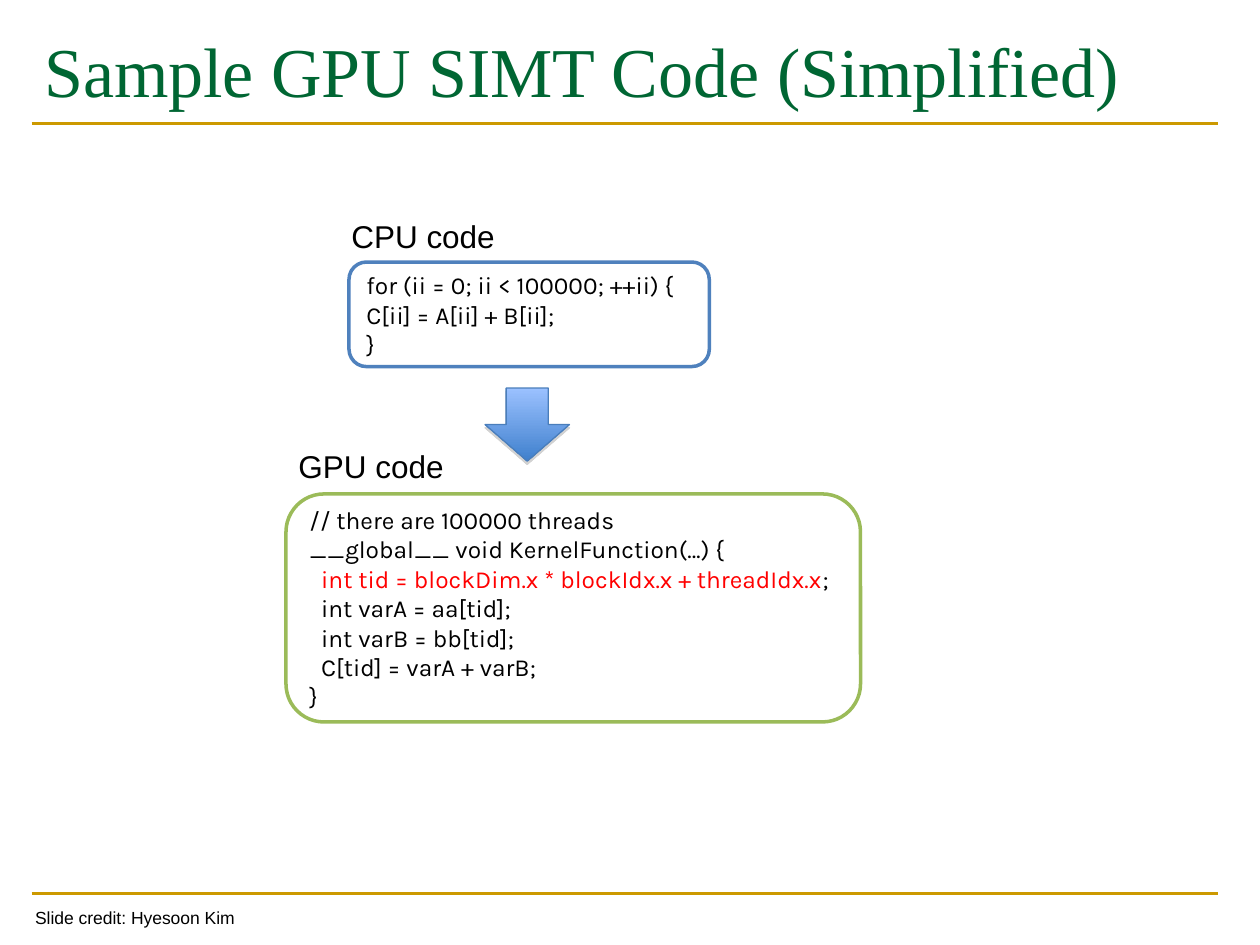
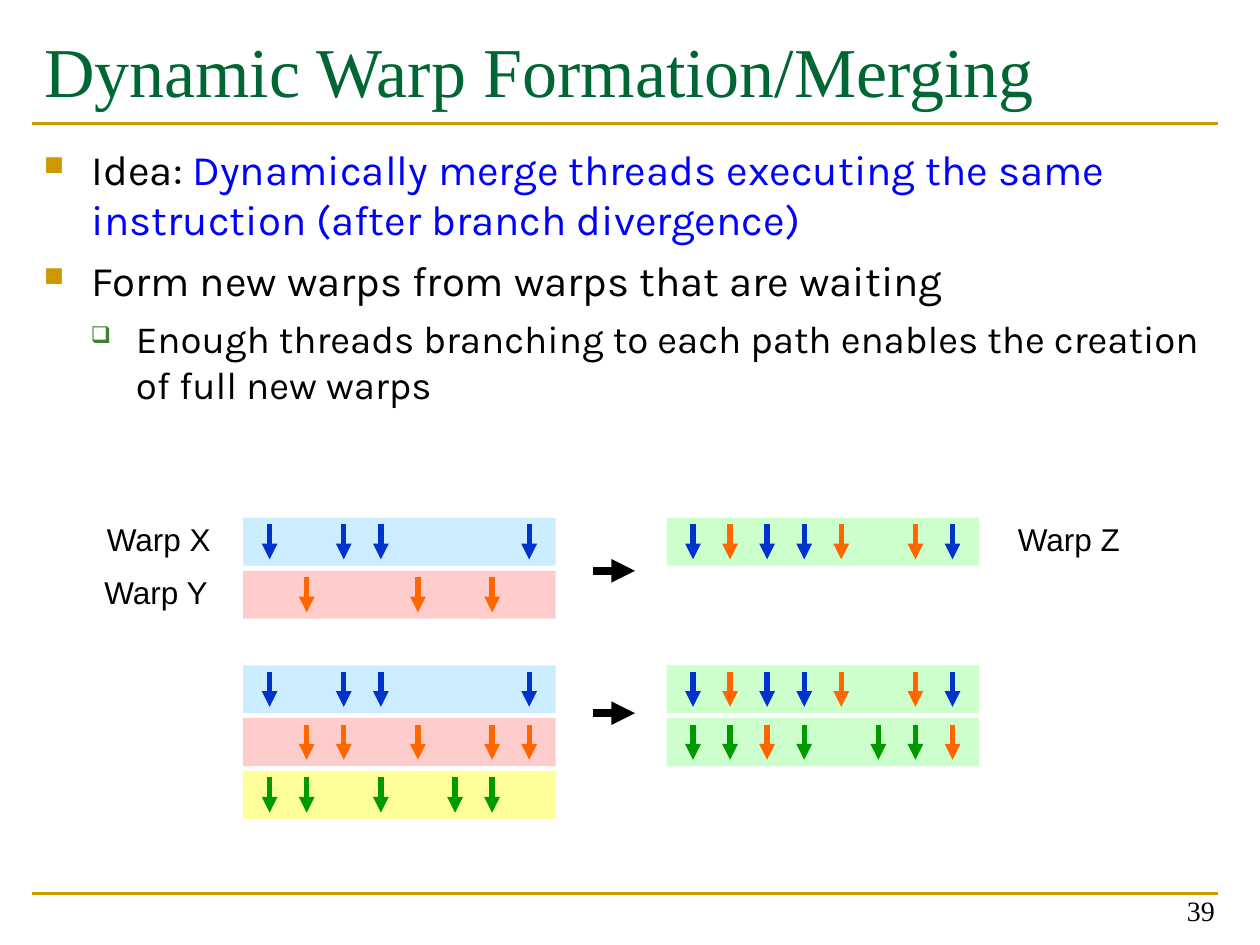
from lxml import etree
from pptx import Presentation
from pptx.dml.color import RGBColor
from pptx.enum.shapes import MSO_CONNECTOR, MSO_SHAPE
from pptx.enum.text import MSO_ANCHOR, MSO_AUTO_SIZE, PP_ALIGN
from pptx.oxml.ns import qn
from pptx.util import Inches, Pt

LEFT, RIGHT = PP_ALIGN.LEFT, PP_ALIGN.RIGHT
TOP, MIDDLE, BOTTOM = MSO_ANCHOR.TOP, MSO_ANCHOR.MIDDLE, MSO_ANCHOR.BOTTOM
STRAIGHT = MSO_CONNECTOR.STRAIGHT
RECTANGLE = MSO_SHAPE.RECTANGLE
ROUNDED = MSO_SHAPE.ROUNDED_RECTANGLE
DOWN_ARROW = MSO_SHAPE.DOWN_ARROW
NO_AUTOFIT = MSO_AUTO_SIZE.NONE

color = RGBColor.from_string
BLACK, WHITE, RED, BLUE = "000000", "FFFFFF", "FF0000", "0000FF"
GREEN, GOLD = "006633", "CC9900"
SERIF, SANS, BODY = "Times New Roman", "Arial", "Karla"


def add_line(page, start, end, hex_color, width, arrow=False):
    line = page.shapes.add_connector(
        STRAIGHT, *(Inches(value) for value in (*start, *end)))
    line.line.color.rgb = color(hex_color)
    line.line.width = Pt(width)
    properties = line._element.spPr
    if arrow:
        etree.SubElement(properties.find(qn("a:ln")), qn("a:tailEnd"), type="triangle")
    etree.SubElement(properties, qn("a:effectLst"))


def add_label(page, at, text, size, font=SANS, align=LEFT, anchor=TOP):
    box = page.shapes.add_textbox(*(Inches(value) for value in at))
    box.text_frame.word_wrap = False
    box.text_frame.vertical_anchor = anchor
    para = box.text_frame.paragraphs[0]
    para.text = text
    para.alignment = align
    para.font.name = font
    para.font.size = Pt(size)
    para.font.color.rgb = color(BLACK)


deck = Presentation()
deck.slide_width, deck.slide_height = Inches(10), Inches(7.5)

# Title and gold rules on both slides
pages = []
for heading in ("Sample GPU SIMT Code (Simplified)", "Dynamic Warp Formation/Merging"):
    page = deck.slides.add_slide(deck.slide_layouts[5])
    pages.append(page)
    for y in (7.09, 0.98):
        add_line(page, (0.25, y), (9.67, y), GOLD, 1.5)
    title = page.shapes.title
    title.left, title.top = Inches(0.25), Inches(0.17)
    title.width, title.height = Inches(9.42), Inches(1.17)
    frame = title.text_frame
    frame.auto_size = NO_AUTOFIT
    frame.vertical_anchor = TOP
    frame.margin_top = Inches(0.05)
    para = frame.paragraphs[0]
    para.text = heading
    para.alignment = LEFT
    para.font.name = SERIF
    para.font.size = Pt(40)
    para.font.color.rgb = color(GREEN)
code_page, warp_page = pages

# Code boxes: each line is a list of (text, colour) spans
cpu_code = [
    [("for (ii = 0; ii < 100000; ++ii) {", BLACK)],
    [("C[ii] = A[ii] + B[ii];", BLACK)],
    [("}", BLACK)],
]
gpu_code = [
    [("// there are 100000 threads", BLACK)],
    [("__global__ void KernelFunction(…) {", BLACK)],
    [("  ", BLACK), ("int tid = blockDim.x * blockIdx.x + threadIdx.x", RED), (";", BLACK)],
    [("  int varA = aa[tid];", BLACK)],
    [("  int varB = bb[tid];", BLACK)],
    [("  C[tid] = varA + varB;", BLACK)],
    [("}", BLACK)],
]
for at, outline, code in (
    ((2.77, 2.08, 2.86, 0.83), "4F81BD", cpu_code),
    ((2.27, 3.92, 4.56, 1.81), "9BBB59", gpu_code),
):
    box = code_page.shapes.add_shape(ROUNDED, *(Inches(value) for value in at))
    box.shadow.inherit = False
    box.fill.solid()
    box.fill.fore_color.rgb = color(WHITE)
    box.line.color.rgb = color(outline)
    box.line.width = Pt(2)
    frame = box.text_frame
    frame.word_wrap = True
    frame.vertical_anchor = MIDDLE
    for number, spans in enumerate(code):
        para = frame.add_paragraph() if number else frame.paragraphs[0]
        para.alignment = LEFT
        para.font.name = BODY
        para.font.size = Pt(14)
        for text, hex_color in spans:
            span = para.add_run()
            span.text = text
            span.font.color.rgb = color(hex_color)

# Arrow from CPU code to GPU code, with a soft shadow
arrow = code_page.shapes.add_shape(
    DOWN_ARROW, Inches(3.85), Inches(3.08), Inches(0.67), Inches(0.58))
arrow.fill.gradient()
arrow.fill.gradient_angle = 270
for stop, position, hex_color in zip(arrow.fill.gradient_stops, (0, 1), ("9BC1FF", "3F80CD")):
    stop.position = position
    stop.color.rgb = color(hex_color)
arrow.line.color.rgb = color("4A7EBB")
arrow.line.width = Pt(0.75)
arrow.shadow.inherit = False
effects = arrow._element.spPr.find(qn("a:effectLst"))
shadow = etree.SubElement(effects, qn("a:outerShdw"), dist=str(Pt(1.8)), dir="5400000", rotWithShape="0")
shade = etree.SubElement(shadow, qn("a:srgbClr"), val="808080")
etree.SubElement(shade, qn("a:alpha"), val="35000")

add_label(code_page, (2.69, 1.67, 1.34, 0.4), "CPU code", 18)
add_label(code_page, (2.27, 3.5, 1.52, 0.4), "GPU code", 18)
add_label(code_page, (0.18, 7.15, 1.85, 0.27), "Slide credit: Hyesoon Kim", 10)

# Bulleted text on warp merging
box = warp_page.shapes.add_textbox(Inches(0.25), Inches(1.09), Inches(9.42), Inches(5.68))
frame = box.text_frame
frame.word_wrap = True
frame.margin_top = Inches(0.05)
bullet_styles = [("■", GOLD, 65, 0.38, 0.38, 24, 6), ("❑", "3B812F", 60, 0.73, 0.36, 22, 5.5)]
points = [
    (0, [("Idea: ", BLACK),
         ("Dynamically merge threads executing the same instruction "
          "(after branch divergence)", BLUE)]),
    (0, [("Form new warps from warps that are waiting", BLACK)]),
    (1, [("Enough threads branching to each path enables the creation "
          "of full new warps", BLACK)]),
]
for number, (level, spans) in enumerate(points):
    symbol, bullet_color, percent, margin, hanging, size, gap = bullet_styles[level]
    para = frame.add_paragraph() if number else frame.paragraphs[0]
    para.level = level
    if number:
        para.space_before = Pt(gap)
    properties = para._p.get_or_add_pPr()
    properties.set("marL", str(Inches(margin)))
    properties.set("indent", str(-Inches(hanging)))
    tint = etree.SubElement(properties, qn("a:buClr"))
    etree.SubElement(tint, qn("a:srgbClr"), val=bullet_color)
    etree.SubElement(properties, qn("a:buSzPct"), val=str(percent * 1000))
    etree.SubElement(properties, qn("a:buChar"), char=symbol)
    para.font.name = BODY
    para.font.size = Pt(size)
    for text, hex_color in spans:
        span = para.add_run()
        span.text = text
        span.font.color.rgb = color(hex_color)

# Warps: one letter per lane gives the thread colour, a dot is an idle lane
THREADS = {"B": "0033CC", "O": "FF6600", "G": "009900"}
SKY, PINK, YELLOW, MINT = "CCECFF", "FFCCCC", "FFFF99", "CCFFCC"
BEFORE, AFTER = 1.93, 5.29
UPPER, LOWER, ROW_STEP = 4.11, 5.28, 0.42
LANE_STEP = 2.06 / 7
warps = [
    (BEFORE, UPPER, 0, SKY, "B.BB...B"),
    (BEFORE, UPPER, 1, PINK, ".O..O.O."),
    (AFTER, UPPER, 0, MINT, "BOBBO.OB"),
    (BEFORE, LOWER, 0, SKY, "B.BB...B"),
    (BEFORE, LOWER, 1, PINK, ".OO.O.OO"),
    (BEFORE, LOWER, 2, YELLOW, "GG.G.GG."),
    (AFTER, LOWER, 0, MINT, "BOBBO.OB"),
    (AFTER, LOWER, 1, MINT, "GGOG.GGO"),
]
for left, group_top, row, band_color, lanes in warps:
    top = group_top + row * ROW_STEP
    band = warp_page.shapes.add_shape(
        RECTANGLE, Inches(left), Inches(top), Inches(2.48), Inches(0.38))
    band.shadow.inherit = False
    band.fill.solid()
    band.fill.fore_color.rgb = color(band_color)
    band.line.fill.background()
    for lane, thread in enumerate(lanes):
        if thread in THREADS:
            x = left + 0.21 + lane * LANE_STEP
            add_line(warp_page, (x, top + 0.05), (x, top + 0.33), THREADS[thread], 3, arrow=True)

# Merge arrows, warp names and page number
for y in (4.53, 5.66):
    add_line(warp_page, (4.71, y), (5.04, y), BLACK, 4.5, arrow=True)
for name, left, top in (("Warp X", 0.75, 4.08), ("Warp Y", 0.73, 4.5), ("Warp Z", 7.98, 4.08)):
    add_label(warp_page, (left, top, 1.03, 0.4), name, 18)
add_label(warp_page, (7.41, 6.91, 2.33, 0.5), "39", 16, SERIF, RIGHT, BOTTOM)

deck.save("out.pptx")
